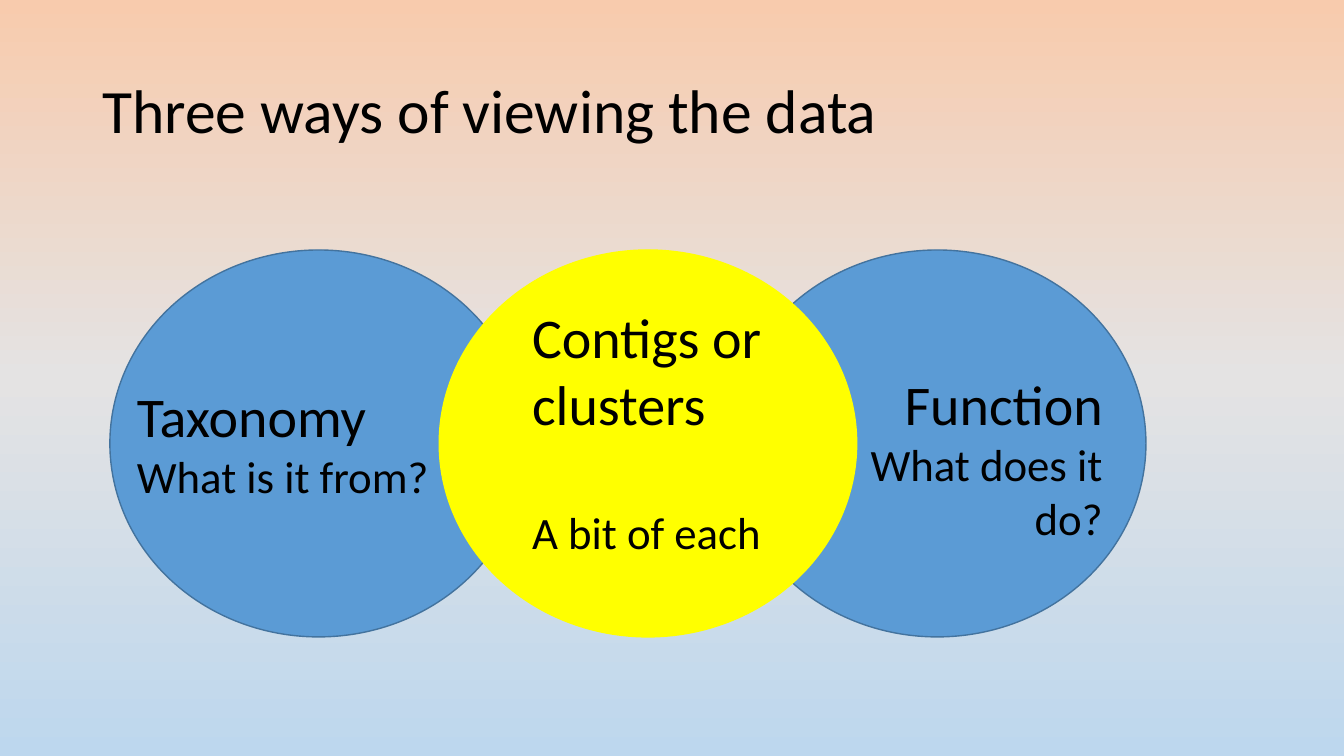
from copy import deepcopy
from dataclasses import dataclass

from pptx import Presentation
from pptx.dml.color import RGBColor
from pptx.enum.shapes import MSO_SHAPE
from pptx.enum.text import MSO_ANCHOR, PP_ALIGN
from pptx.oxml.ns import qn
from pptx.util import Cm, Pt

ELLIPSE = MSO_SHAPE.OVAL
LEFT, RIGHT = PP_ALIGN.LEFT, PP_ALIGN.RIGHT
TOP, MIDDLE = MSO_ANCHOR.TOP, MSO_ANCHOR.MIDDLE

FONT = "Calibri"
BLUE, BLUE_EDGE, YELLOW = "5B9BD5", "43739E", "FFFF00"
BACKGROUND = [(0, "F8CBAD"), (0.5, "E4E3E3"), (1, "BDD7EE")]
CIRCLE_TOP, CIRCLE_W, CIRCLE_H = 6.3, 10.52, 9.75


@dataclass
class View:
    """One circle with its label; box is left, top, width, height in cm."""
    left: float
    fill: str
    edge: str
    box: tuple[float, float, float, float]
    heading: str
    detail: str
    align: PP_ALIGN = LEFT
    gap: float = 0


VIEWS = [
    View(2.77, BLUE, BLUE_EDGE, (3.2, 9.5, 7.92, 3.33),
         "Taxonomy", "What is it from?"),
    View(18.36, BLUE, BLUE_EDGE, (20.78, 9.19, 7.26, 4.7),
         "Function", "What does it do?", align=RIGHT),
    View(11.07, YELLOW, YELLOW, (13.16, 7.49, 6.68, 6.76),
         "Contigs or clusters", "A bit of each", gap=49),
]


def rgb(color: str) -> RGBColor:
    return RGBColor.from_string(color)


def set_background(s) -> None:
    fill = s.background.fill
    fill.gradient()
    fill.gradient_angle = 270
    stops = s.background._cSld.find(".//" + qn("a:gsLst"))
    stops.insert(1, deepcopy(stops[0]))
    for stop, (position, color) in zip(fill.gradient_stops, BACKGROUND):
        stop.position = position
        stop.color.rgb = rgb(color)


def add_text_box(s, box: tuple[float, float, float, float], anchor=TOP):
    tf = s.shapes.add_textbox(*map(Cm, box)).text_frame
    tf.word_wrap = True
    tf.vertical_anchor = anchor
    return tf


def write(p, text: str, *, size: float, align=LEFT,
          before: float = 0, spacing: float = 1) -> None:
    p.alignment = align
    p.line_spacing = spacing
    if before:
        p.space_before = Pt(before)
    r = p.add_run()
    r.text = text
    r.font.name = FONT
    r.font.size = Pt(size)
    r.font.color.rgb = rgb("000000")


def add_view(s, view: View) -> None:
    sp = s.shapes.add_shape(ELLIPSE, Cm(view.left), Cm(CIRCLE_TOP),
                            Cm(CIRCLE_W), Cm(CIRCLE_H))
    sp.shadow.inherit = False
    sp.fill.solid()
    sp.fill.fore_color.rgb = rgb(view.fill)
    sp.line.color.rgb = rgb(view.edge)
    sp.line.width = Pt(1)

    tf = add_text_box(s, view.box)
    write(tf.paragraphs[0], view.heading, size=40, align=view.align)
    write(tf.add_paragraph(), view.detail, size=32, align=view.align,
          before=view.gap)


def main() -> None:
    prs = Presentation()
    prs.slide_width, prs.slide_height = Cm(33.87), Cm(19.05)
    s = prs.slides.add_slide(prs.slide_layouts[6])
    set_background(s)

    # Title
    tf = add_text_box(s, (2.33, 1.01, 29.21, 3.68), MIDDLE)
    write(tf.paragraphs[0], "Three ways of viewing the data",
          size=44, spacing=0.9)

    # Circles, with the middle one in front
    for view in VIEWS:
        add_view(s, view)

    prs.save("out.pptx")


if __name__ == "__main__":
    main()
